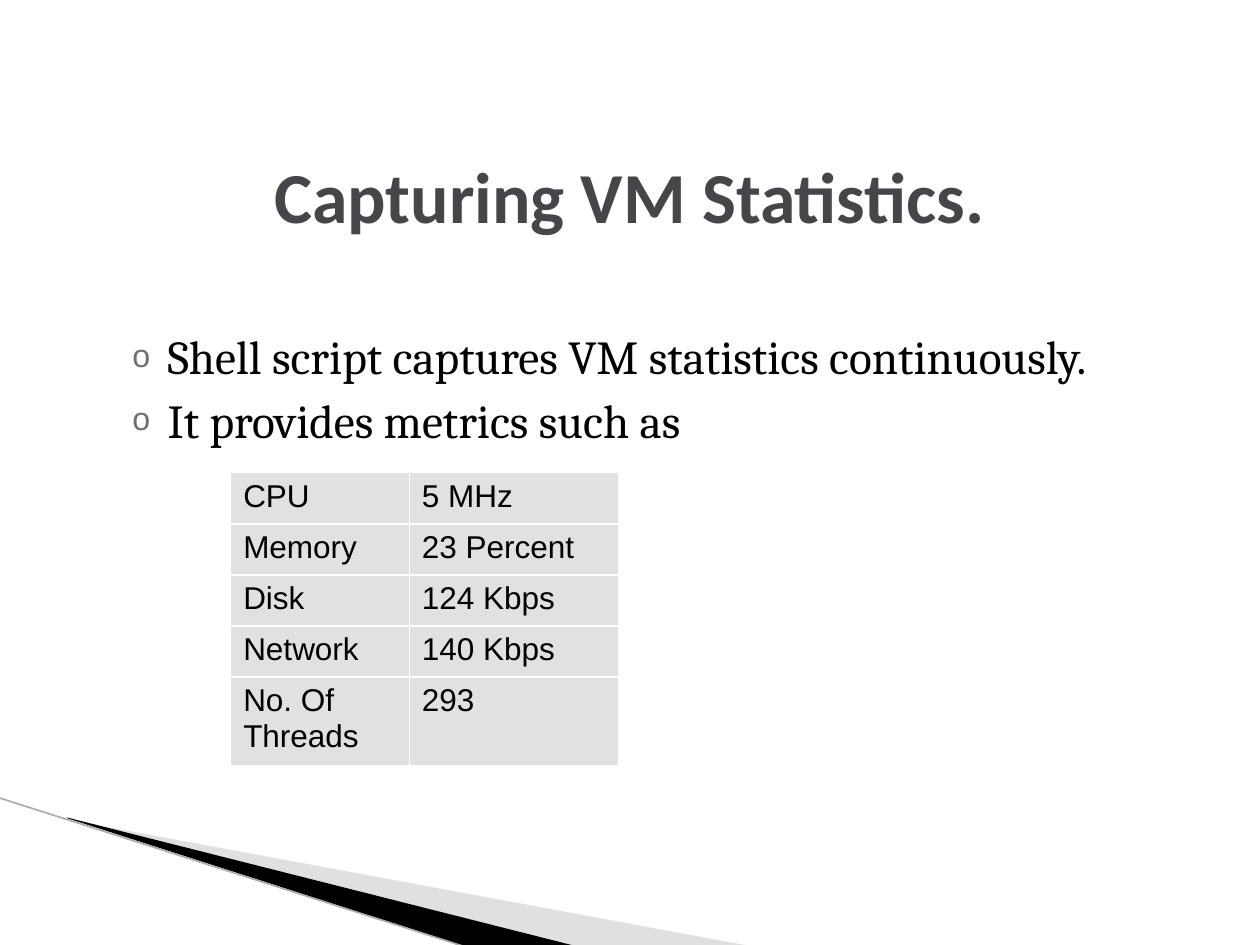
from dataclasses import dataclass

from lxml import etree
from pptx import Presentation
from pptx import util as u
from pptx.dml.color import RGBColor
from pptx.enum import shapes, text
from pptx.oxml.ns import qn

WHITE = RGBColor(0xFF, 0xFF, 0xFF)
BLACK = RGBColor(0x00, 0x00, 0x00)
TITLE_GREY = RGBColor(0x46, 0x46, 0x4A)
BULLET_GREY = RGBColor(0x6F, 0x6F, 0x74)
WEDGE_GREY = RGBColor(0xB3, 0xB3, 0xB5)
EDGE_GREY = RGBColor(0xAC, 0xAC, 0xAE)
CELL_GREY = RGBColor(0xC5, 0xC5, 0xC8)


@dataclass
class Wedge:
    points: list[tuple[float, float]]  # cm
    color: RGBColor
    opacity: int = 100


@dataclass
class Metric:
    name: str
    value: str


WEDGES = [
    Wedge([(1.4, 16.53), (15.12, 19.07), (11.58, 19.07), (1.4, 16.5)], WEDGE_GREY, 40),
    Wedge([(1.35, 16.48), (11.6, 19.07), (9.45, 19.1), (1.37, 16.5)], BLACK),
]
BULLETS = [
    "Shell script captures VM statistics continuously.",
    "It provides metrics such as",
]
METRICS = [
    Metric("CPU", "5 MHz"),
    Metric("Memory", "23 Percent"),
    Metric("Disk", "124 Kbps"),
    Metric("Network", "140 Kbps"),
    Metric("No. Of Threads", "293"),
]


def add_xml(parent, tag: str, **attrs):
    return etree.SubElement(parent, qn(tag), {k: str(v) for k, v in attrs.items()})


def write(p, content: str, *, size: float, font: str, color: RGBColor = BLACK,
          bold: bool = False, align=text.PP_ALIGN.LEFT, before: float = 0) -> None:
    p.alignment = align
    p.space_before = u.Pt(before)
    r = p.add_run()
    r.text = content
    r.font.size = u.Pt(size)
    r.font.name = font
    r.font.bold = bold
    r.font.color.rgb = color


def fill_solid(owner, element, color: RGBColor, opacity: int = 100) -> None:
    owner.fill.solid()
    owner.fill.fore_color.rgb = color
    if opacity < 100:
        clr = element.find(qn("a:solidFill")).find(qn("a:srgbClr"))
        add_xml(clr, "a:alpha", val=opacity * 1000)


def add_bullet(p) -> None:
    pPr = p._p.get_or_add_pPr()
    pPr.set("marL", str(u.Cm(1.02)))
    pPr.set("indent", str(u.Cm(-0.71)))
    add_xml(add_xml(pPr, "a:buClr"), "a:srgbClr", val=BULLET_GREY)
    add_xml(pPr, "a:buSzPct", val=68000)
    add_xml(pPr, "a:buFont", typeface="Arial")
    add_xml(pPr, "a:buChar", char="o")


def add_wedge(s, wedge: Wedge) -> None:
    start, *rest = [(u.Cm(x), u.Cm(y)) for x, y in wedge.points]
    builder = s.shapes.build_freeform(*start)
    builder.add_line_segments(rest)
    sp = builder.convert_to_shape()
    sp.shadow.inherit = False
    fill_solid(sp, sp._element.spPr, wedge.color, wedge.opacity)
    sp.line.fill.background()


def add_edge(s) -> None:
    line = s.shapes.add_connector(shapes.MSO_CONNECTOR.STRAIGHT,
                                  u.Cm(-0.03), u.Cm(16.08), u.Cm(9.42), u.Cm(19.1))
    line.line.color.rgb = EDGE_GREY
    line.line.width = u.Pt(0.95)
    add_xml(line._element.spPr, "a:effectLst")


def add_title(s) -> None:
    sp = s.shapes.title
    sp.left, sp.top, sp.width, sp.height = u.Cm(1.27), u.Cm(2.34), u.Cm(22.86), u.Cm(3.18)
    tf = sp.text_frame
    tf.vertical_anchor = text.MSO_ANCHOR.MIDDLE
    write(tf.paragraphs[0], "Capturing VM Statistics.", size=41, font="Calibri",
          color=TITLE_GREY, bold=True, align=text.PP_ALIGN.CENTER)


def add_body(s) -> None:
    tf = s.shapes.add_textbox(u.Cm(2.11), u.Cm(6.48), u.Cm(21.21), u.Cm(12.57)).text_frame
    tf.word_wrap = True
    for i, bullet in enumerate(BULLETS):
        p = tf.add_paragraph() if i else tf.paragraphs[0]
        write(p, bullet, size=27, font="Cambria", before=4)
        add_bullet(p)


def format_cell(cell, content: str) -> None:
    write(cell.text_frame.paragraphs[0], content, size=18, font="Arial")
    tcPr = cell._tc.get_or_add_tcPr()
    for side in ("a:lnL", "a:lnR", "a:lnT", "a:lnB"):
        ln = add_xml(tcPr, side, w=u.Pt(1))
        add_xml(add_xml(ln, "a:solidFill"), "a:srgbClr", val=WHITE)
    fill_solid(cell, tcPr, CELL_GREY, 51)


def add_metrics(s) -> None:
    widths, row_height = (3.6, 4.23), 1.03
    table = s.shapes.add_table(len(METRICS), len(widths), u.Cm(4.65), u.Cm(9.53),
                               u.Cm(sum(widths)), u.Cm(row_height * len(METRICS))).table
    table.first_row = table.horz_banding = False
    for column, width in zip(table.columns, widths):
        column.width = u.Cm(width)
    for row, metric in zip(table.rows, METRICS):
        row.height = u.Cm(row_height)
        for cell, content in zip(row.cells, (metric.name, metric.value)):
            format_cell(cell, content)


def main() -> None:
    prs = Presentation()
    prs.slide_width, prs.slide_height = u.Cm(25.4), u.Cm(19.05)
    s = prs.slides.add_slide(prs.slide_layouts[5])

    # Corner decoration
    for wedge in WEDGES:
        add_wedge(s, wedge)
    add_edge(s)

    # Content
    add_body(s)
    add_title(s)
    add_metrics(s)
    prs.save("out.pptx")


if __name__ == "__main__":
    main()
